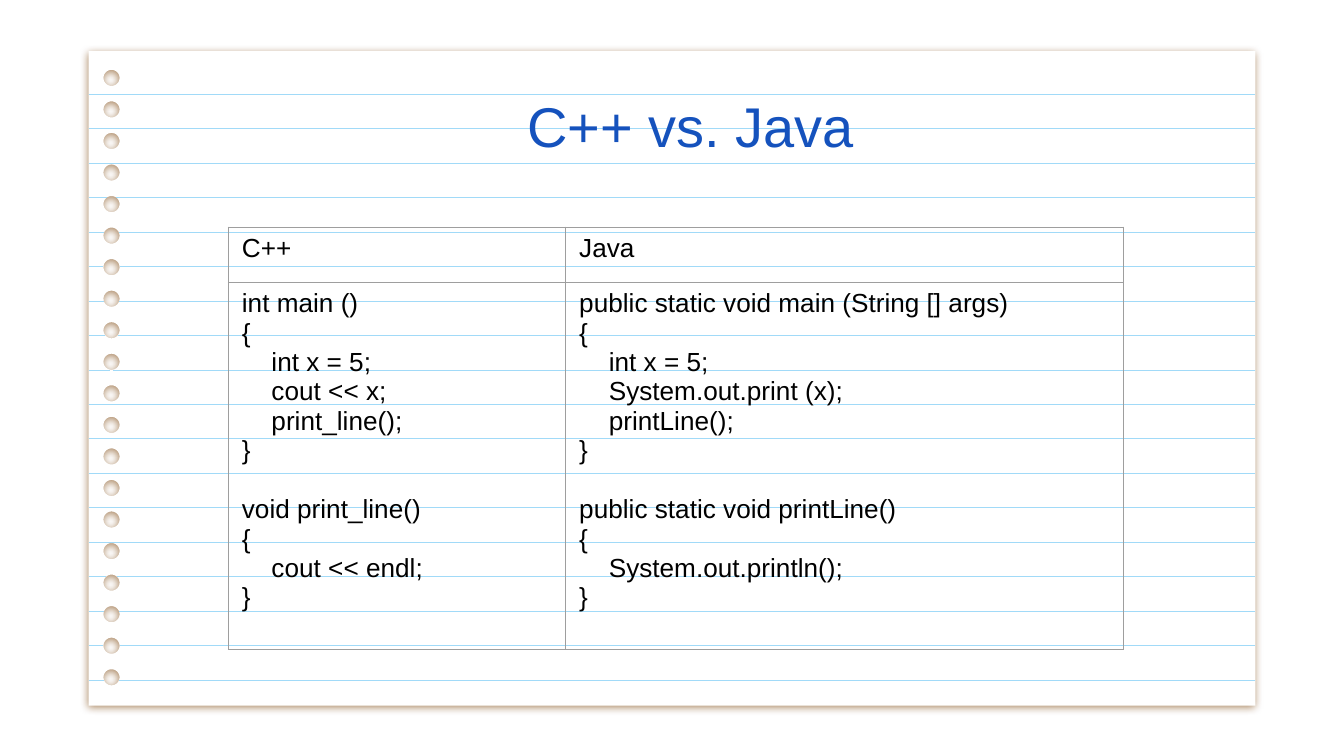
from math import cos, pi, sin, sqrt

from lxml import etree
from pptx import Presentation
from pptx.dml.color import RGBColor
from pptx.enum import shapes, text
from pptx.oxml import parse_xml
from pptx.oxml.ns import nsdecls, qn
from pptx.util import Inches, Pt

INK = {"title": "1552BD", "code": "000000", "paper": "FFFFFF",
       "rule": "A1DAF8", "shade": "783F04", "grid": "9E9E9E"}
FONT = "Arial"
LEFT, TOP, RIGHT, BASE = 0.66, 0.38, 9.34, 5.25
HOLE_X, HOLE_R = 0.83, 0.06
HOLES = [0.58 + i * 4.46 / 19 for i in range(20)]
RULES = [0.7 + i * 4.36 / 17 for i in range(18)]

# Each function is a signature and its indented body lines.
CPP = [("int main ()", ["int x = 5;", "cout << x;", "print_line();"]),
       ("void print_line()", ["cout << endl;"])]
JAVA = [("public static void main (String [] args)",
         ["int x = 5;", "System.out.print (x);", "printLine();"]),
        ("public static void printLine()", ["System.out.println();"])]


def color(name):
    """Return a named colour."""
    return RGBColor.from_string(INK[name])


def style(para, size, ink):
    """Set the font of a whole paragraph."""
    para.font.name, para.font.size = FONT, Pt(size)
    para.font.bold = False
    para.font.color.rgb = color(ink)


def spot(x, y):
    """Return a point in slide units."""
    return Inches(x), Inches(y)


def add_paper(slide):
    """Draw the sheet with punched holes and a soft shadow."""
    pen = slide.shapes.build_freeform(*spot(LEFT, TOP))
    pen.add_line_segments(
        [spot(LEFT, BASE), spot(RIGHT, BASE), spot(RIGHT, TOP)])
    for y in HOLES:
        ring = [spot(HOLE_X + HOLE_R * cos(k * pi / 16),
                     y + HOLE_R * sin(k * pi / 16)) for k in range(32)]
        pen.move_to(*ring[0])
        pen.add_line_segments(ring[1:])
    sheet = pen.convert_to_shape()
    sheet.fill.solid()
    sheet.fill.fore_color.rgb = color("paper")
    sheet.line.fill.background()
    sheet.element.spPr.append(parse_xml(
        f'<a:effectLst {nsdecls("a")}><a:outerShdw blurRad="{Pt(4.5)}" '
        f'dist="{Pt(1.5)}" dir="5400000" algn="bl" rotWithShape="0">'
        f'<a:srgbClr val="{INK["shade"]}"><a:alpha val="61000"/></a:srgbClr>'
        '</a:outerShdw></a:effectLst>'))


def add_rule(slide, start, end, y):
    """Draw one piece of a ruled line."""
    rule = slide.shapes.add_connector(
        shapes.MSO_CONNECTOR.STRAIGHT, *spot(start, y), *spot(end, y))
    rule.line.color.rgb = color("rule")
    rule.line.width = Pt(0.3)
    etree.SubElement(rule.element.spPr, qn("a:effectLst"))


def add_rules(slide):
    """Draw the ruled lines, broken where they meet a hole."""
    for y in RULES:
        gap = min(abs(y - hole) for hole in HOLES)
        if gap < HOLE_R:
            half = sqrt(HOLE_R ** 2 - gap ** 2)
            add_rule(slide, LEFT, HOLE_X - half, y)
            add_rule(slide, HOLE_X + half, RIGHT, y)
        else:
            add_rule(slide, LEFT, RIGHT, y)


def set_title(slide, words):
    """Place the title in front of the paper."""
    title = slide.shapes.title
    title.element.getparent().append(title.element)
    title.left, title.top = spot(1.02, 0.58)
    title.width, title.height = spot(8.24, 0.69)
    frame = title.text_frame
    frame.text = words
    frame.auto_size = text.MSO_AUTO_SIZE.NONE
    frame.vertical_anchor = text.MSO_ANCHOR.TOP
    frame.margin_left = frame.margin_right = Inches(0.1)
    frame.margin_top = frame.margin_bottom = Inches(0.1)
    para = frame.paragraphs[0]
    para.alignment = text.PP_ALIGN.CENTER
    style(para, 30, "title")


def set_cell(cell, lines):
    """Fill a cell with (words, indented, space before) lines."""
    frame = cell.text_frame
    frame.text = "\n".join(words for words, _, _ in lines)
    for para, (_, inner, space) in zip(frame.paragraphs, lines):
        style(para, 14, "code")
        para.space_before = Pt(space)
        if inner:
            props = para._p.get_or_add_pPr()
            props.set("marL", str(Inches(0.22)))
            props.set("indent", "0")
    props = cell._tc.get_or_add_tcPr()
    for side in "LRTB":
        props.append(parse_xml(
            f'<a:ln{side} {nsdecls("a")} w="{Pt(0.75)}"><a:solidFill>'
            f'<a:srgbClr val="{INK["grid"]}"/></a:solidFill></a:ln{side}>'))
    cell.fill.background()


def code_lines(funcs):
    """Lay out functions as lines with a gap between functions."""
    lines = []
    for head, body in funcs:
        lines += [(head, False, 16 if lines else 0), ("{", False, 0)]
        lines += [(words, True, 0) for words in body]
        lines.append(("}", False, 0))
    return lines


def add_code(slide, columns):
    """Add the table that compares the languages."""
    table = slide.shapes.add_table(
        2, len(columns), *spot(1.7, 1.69), *spot(6.66, 3.14)).table
    table.first_row = table.horz_banding = False
    for row, high in zip(table.rows, (0.41, 2.73)):
        row.height = Inches(high)
    for i, (name, wide, funcs) in enumerate(columns):
        table.columns[i].width = Inches(wide)
        set_cell(table.cell(0, i), [(name, False, 0)])
        set_cell(table.cell(1, i), code_lines(funcs))


def main():
    """Build and save the slide."""
    deck = Presentation()
    deck.slide_width = Inches(10)
    deck.slide_height = deck.slide_width * 9 // 16
    slide = deck.slides.add_slide(deck.slide_layouts[5])
    add_paper(slide)
    add_rules(slide)
    set_title(slide, "C++ vs. Java")
    add_code(slide, [("C++", 2.51, CPP), ("Java", 4.15, JAVA)])
    deck.save("out.pptx")


main()
